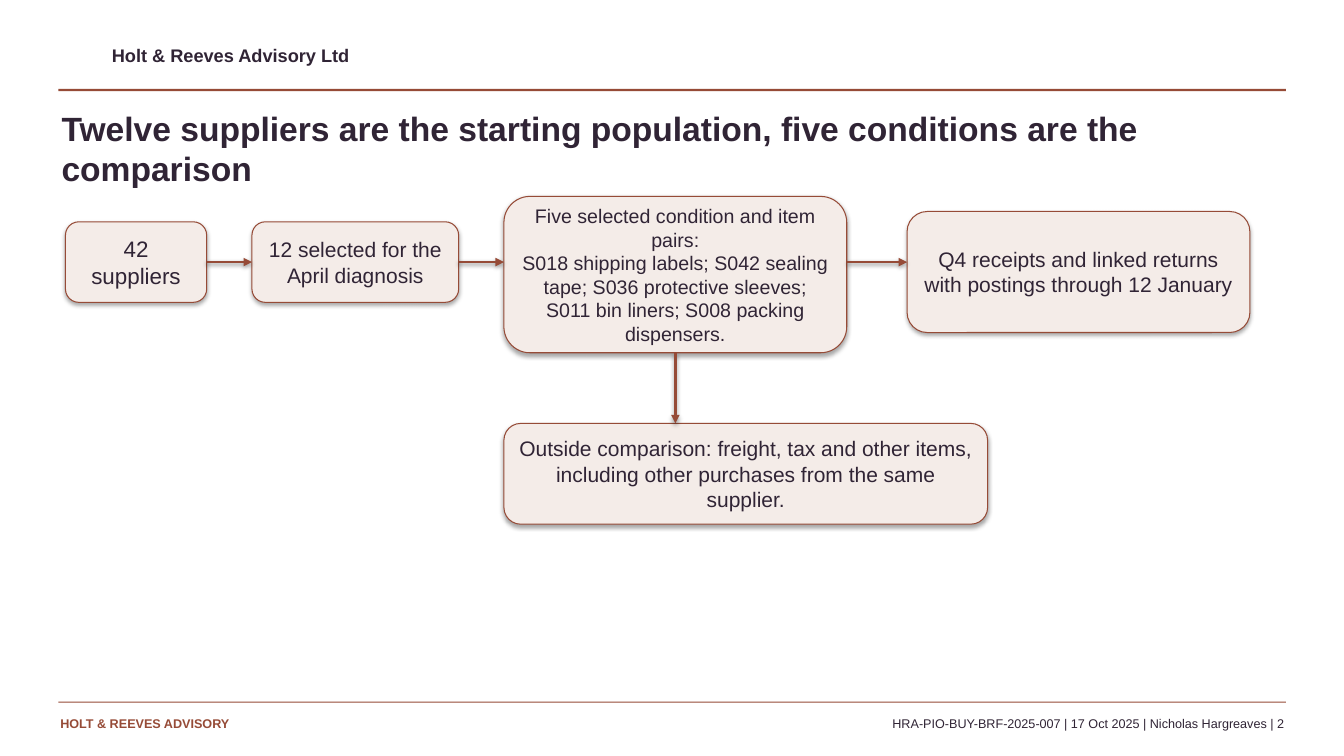
from collections import namedtuple
from itertools import pairwise

from lxml import etree
from pptx import Presentation
from pptx import util as u
from pptx.dml.color import RGBColor
from pptx.enum import shapes, text
from pptx.oxml import ns

RUST = RGBColor(0x96, 0x4B, 0x37)
PLUM = RGBColor(0x30, 0x24, 0x35)
BLUSH = RGBColor(0xF4, 0xEC, 0xE8)
FONT = "Arial"
TOP, LEFT, BOTTOM, RIGHT = range(4)

Box = namedtuple("Box", "left top width height")  # centimetres

# left and top within the flow, width, height, text size, wording
STEPS = [
    (0, 0.64, 3.56, 2.03, 16, "42 suppliers"),
    (4.7, 0.64, 5.21, 2.03, 15, "12 selected for the April diagnosis"),
    (11.05, 0, 8.64, 3.94, 14,
     "Five selected condition and item pairs:\n"
     "S018 shipping labels; S042 sealing tape; S036 protective sleeves; "
     "S011 bin liners; S008 packing dispensers."),
    (21.21, 0.38, 8.64, 3.05, 15,
     "Q4 receipts and linked returns with postings through 12 January"),
]
OUTSIDE = (11.05, 5.72, 12.19, 2.54, 15,
           "Outside comparison: freight, tax and other items, "
           "including other purchases from the same supplier.")


def to_lengths(box):
    return [u.Cm(value) for value in box]


def write(shape, wording, size, color, align, bold=False):
    frame = shape.text_frame
    frame.word_wrap = True
    paragraph = frame.paragraphs[0]
    paragraph.text = wording
    paragraph.alignment = align
    for run in paragraph.runs:
        run.font.name = FONT
        run.font.size = u.Pt(size)
        run.font.bold = bold
        run.font.color.rgb = color


def remove_insets(frame):
    frame.margin_left = frame.margin_top = 0
    frame.margin_right = frame.margin_bottom = 0
    frame.vertical_anchor = text.MSO_ANCHOR.TOP


def add_label(slide, box, wording, size, color, align=text.PP_ALIGN.LEFT,
              bold=False):
    label = slide.shapes.add_textbox(*to_lengths(box))
    remove_insets(label.text_frame)
    write(label, wording, size, color, align, bold)


def add_rule(slide, box):
    rule = slide.shapes.add_shape(shapes.MSO_SHAPE.RECTANGLE,
                                  *to_lengths(box))
    rule.shadow.inherit = False
    rule.fill.solid()
    rule.fill.fore_color.rgb = RUST
    rule.line.fill.background()


def add_header(slide, box):
    add_label(slide, Box(box.left + 1.35, box.top + 0.05, 15.24, 0.69),
              "Holt & Reeves Advisory Ltd", 13, PLUM, bold=True)
    add_rule(slide, Box(box.left, box.top + box.height - 0.06,
                        box.width, 0.06))


def add_title(slide, box):
    title = slide.shapes.title
    title.left, title.top, title.width, title.height = to_lengths(box)
    remove_insets(title.text_frame)
    title.text_frame.auto_size = text.MSO_AUTO_SIZE.NONE
    write(title, "Twelve suppliers are the starting population, "
          "five conditions are the comparison",
          24, PLUM, text.PP_ALIGN.LEFT, bold=True)


def add_step(slide, area, step):
    left, top, width, height, size, wording = step
    box = Box(area.left + left, area.top + top, width, height)
    shape = slide.shapes.add_shape(shapes.MSO_SHAPE.ROUNDED_RECTANGLE,
                                   *to_lengths(box))
    shape.fill.solid()
    shape.fill.fore_color.rgb = BLUSH
    shape.line.color.rgb = RUST
    shape.line.width = u.Pt(0.75)
    shape.text_frame.vertical_anchor = text.MSO_ANCHOR.MIDDLE
    write(shape, wording, size, PLUM, text.PP_ALIGN.CENTER)
    return shape


def add_arrow(slide, *ends):
    arrow = slide.shapes.add_connector(shapes.MSO_CONNECTOR.STRAIGHT, *ends)
    arrow.line.color.rgb = RUST
    arrow.line.width = u.Pt(2)
    etree.SubElement(arrow.line._get_or_add_ln(), ns.qn("a:tailEnd"),
                     type="triangle")
    return arrow


def add_flow(slide, area):
    steps = [add_step(slide, area, step) for step in STEPS]
    outside = add_step(slide, area, OUTSIDE)

    middle = steps[0].top + steps[0].height // 2
    for source, target in pairwise(steps):
        arrow = add_arrow(slide, source.left + source.width, middle,
                          target.left, middle)
        if source.top + source.height // 2 == middle:
            arrow.begin_connect(source, RIGHT)
        if target.top + target.height // 2 == middle:
            arrow.end_connect(target, LEFT)

    selected = steps[2]
    center = selected.left + selected.width // 2
    branch = add_arrow(slide, center, selected.top + selected.height,
                       center, outside.top)
    branch.begin_connect(selected, BOTTOM)


def add_footer(slide, box):
    add_rule(slide, Box(box.left, box.top, box.width, 0.03))
    label_top = box.top + 0.35
    add_label(slide, Box(box.left + 0.05, label_top, 8.64, 0.64),
              "HOLT & REEVES ADVISORY", 9, RUST, bold=True)
    reference_width = 21.89
    reference_left = box.left + box.width - reference_width - 0.05
    add_label(slide, Box(reference_left, label_top, reference_width, 0.51),
              "HRA-PIO-BUY-BRF-2025-007 | 17 Oct 2025 | Nicholas Hargreaves | 2",
              9, PLUM, text.PP_ALIGN.RIGHT)


def main():
    presentation = Presentation()
    presentation.slide_width = u.Cm(33.87)
    presentation.slide_height = u.Cm(19.05)
    title_only = presentation.slide_layouts.get_by_name("Title Only")
    slide = presentation.slides.add_slide(title_only)
    add_header(slide, Box(1.47, 1.07, 30.94, 1.23))
    add_title(slide, Box(1.55, 2.72, 30.48, 1.98))
    add_flow(slide, Box(1.65, 4.95, 29.85, 8.26))
    add_footer(slide, Box(1.47, 17.68, 30.94, 1))
    presentation.save("out.pptx")


if __name__ == "__main__":
    main()
